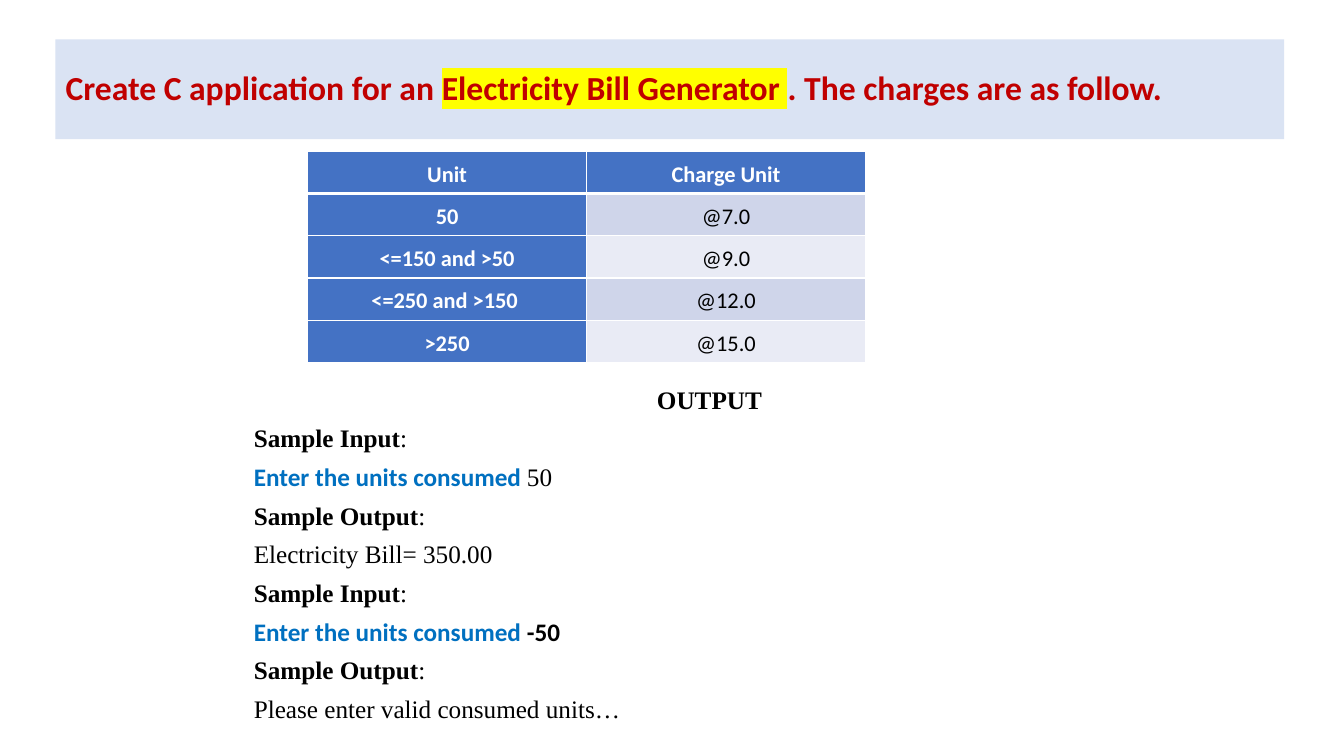
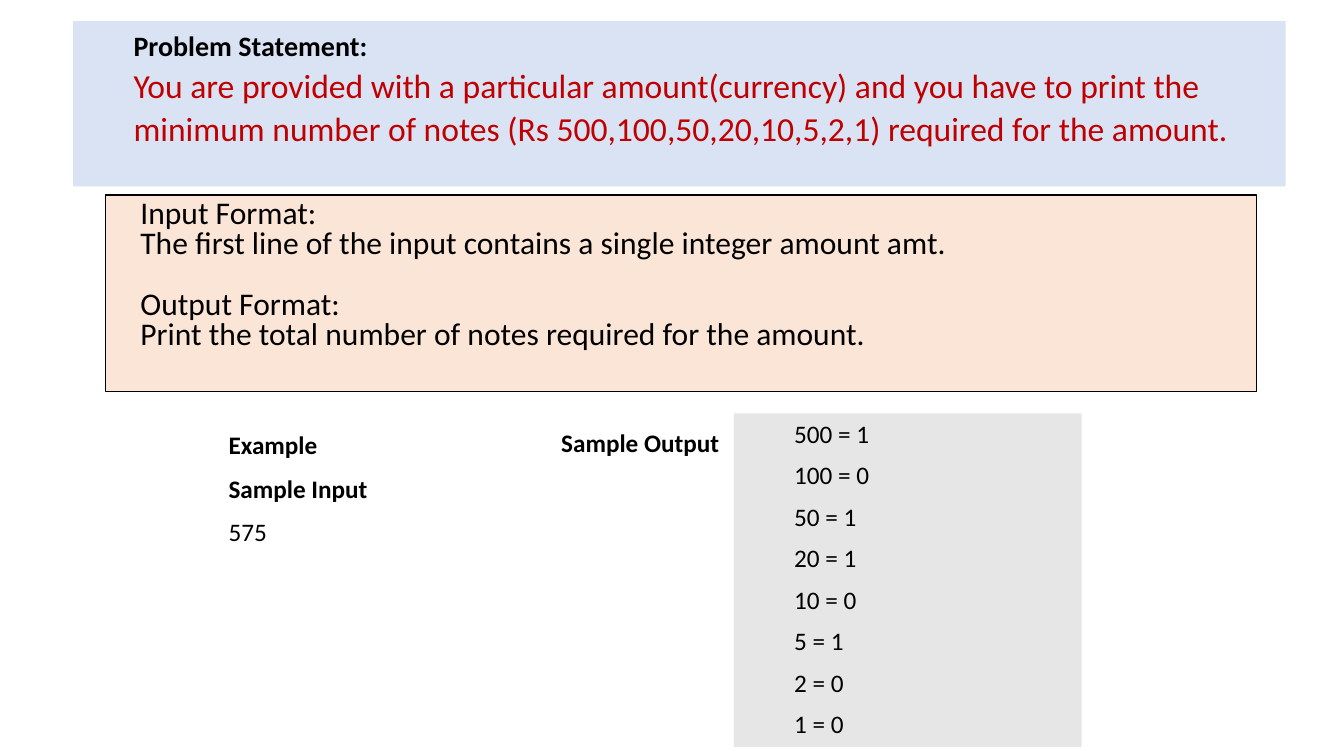
from dataclasses import dataclass

from lxml.etree import SubElement
from pptx import Presentation
from pptx.dml.color import RGBColor
from pptx.enum.shapes import MSO_SHAPE
from pptx.enum.text import MSO_ANCHOR, MSO_AUTO_SIZE, PP_ALIGN
from pptx.oxml import parse_xml
from pptx.oxml.ns import nsdecls, qn
from pptx.util import Pt


@dataclass(frozen=True)
class Theme:
    """Colours, fonts and type sizes of the deck."""
    band: str = "DAE3F3"
    red: str = "C00000"
    blue: str = "0070C0"
    black: str = "000000"
    white: str = "FFFFFF"
    marker: str = "FFFF00"
    head: str = "4472C4"
    rows: tuple = ("CFD5EA", "E9EBF5")
    peach: str = "FBE5D6"
    grey: str = "E7E6E6"
    sans: str = "Calibri"
    serif: str = "Times New Roman"
    title: float = 24
    subtitle: float = 20
    format: float = 22.5
    body: float = 18
    cell: float = 16


T = Theme()
TITLE_ONLY = 5


def rgb(code):
    """Turn a hex code into a colour."""
    return RGBColor.from_string(code)


def add_run(p, text, size=T.body, font=T.sans, color=T.black, bold=False, mark=None):
    """Add one formatted run to a paragraph."""
    r = p.add_run()
    r.text = text
    r.font.size, r.font.name, r.font.bold = Pt(size), font, bold
    r.font.color.rgb = rgb(color)
    if mark:
        r.font.fill._xPr.find(qn("a:solidFill")).addnext(parse_xml(
            f'<a:highlight {nsdecls("a")}><a:srgbClr val="{mark}"/></a:highlight>'))


def write(tf, text, new=True, align=PP_ALIGN.LEFT, indent=0, line=1.0,
          before=0, after=0, **font):
    """Write a paragraph: a string, or (text, overrides) runs; new=False fills the first."""
    p = tf.add_paragraph() if new else tf.paragraphs[0]
    p.alignment, p.line_spacing = align, line
    p.space_before, p.space_after = Pt(before), Pt(after)
    pPr = p._p.get_or_add_pPr()
    pPr.set("marL", str(Pt(indent)))
    pPr.set("indent", "0")
    for part, extra in ([(text, {})] if isinstance(text, str) else text):
        add_run(p, part, **{**font, **extra})


def write_all(tf, texts, **fmt):
    """Write several paragraphs that share one format."""
    for i, text in enumerate(texts):
        write(tf, text, new=i > 0, **fmt)


def set_frame(sp, anchor):
    """Make the text of a shape wrap without resizing and return its frame."""
    tf = sp.text_frame
    tf.word_wrap, tf.auto_size, tf.vertical_anchor = True, MSO_AUTO_SIZE.NONE, anchor
    return tf


def title_band(s, box, anchor=MSO_ANCHOR.MIDDLE):
    """Place the title placeholder as a tinted band."""
    sp = s.shapes.title
    sp.left, sp.top, sp.width, sp.height = map(Pt, box)
    sp.fill.solid()
    sp.fill.fore_color.rgb = rgb(T.band)
    return set_frame(sp, anchor)


def panel(s, box, fill, line=None):
    """Draw a filled rectangle and return its text frame."""
    sp = s.shapes.add_shape(MSO_SHAPE.RECTANGLE, *map(Pt, box))
    sp.shadow.inherit = False
    sp.fill.solid()
    sp.fill.fore_color.rgb = rgb(fill)
    if line:
        sp.line.color.rgb = rgb(line)
        sp.line.width = Pt(0.75)
    else:
        sp.line.fill.background()
    return set_frame(sp, MSO_ANCHOR.TOP)


def text_box(s, box):
    """Add a wrapping text box and return its text frame."""
    return set_frame(s.shapes.add_textbox(*map(Pt, box)), MSO_ANCHOR.TOP)


def set_borders(cell, bottom):
    """Give a cell white borders, with its own bottom width."""
    tcPr = cell._tc.get_or_add_tcPr()
    for i, (side, width) in enumerate(zip("LRTB", (1, 1, 1, bottom))):
        ln = parse_xml(f'<a:ln{side} {nsdecls("a")} w="{Pt(width)}"/>')
        SubElement(SubElement(ln, qn("a:solidFill")), qn("a:srgbClr"), val=T.white)
        tcPr.insert(i, ln)


def charge_table(s, box, rows):
    """Draw the tariff table with a coloured header row and first column."""
    tbl = s.shapes.add_table(len(rows), len(rows[0]), *map(Pt, box)).table
    for i, row in enumerate(rows):
        for j, text in enumerate(row):
            strong = i == 0 or j == 0
            cell = tbl.cell(i, j)
            cell.margin_left = cell.margin_right = Pt(4.5)
            cell.margin_top = cell.margin_bottom = Pt(0)
            cell.vertical_anchor = MSO_ANCHOR.MIDDLE
            cell.fill.solid()
            cell.fill.fore_color.rgb = rgb(T.head if strong else T.rows[(i - 1) % 2])
            set_borders(cell, 3 if i == 0 else 1)
            write(cell.text_frame, text, new=False, align=PP_ALIGN.CENTER, line=1.15,
                  before=6, after=10, size=T.cell, bold=strong,
                  color=T.white if strong else T.black)


def sample_session(s, box, samples):
    """List the sample inputs and outputs under an OUTPUT heading."""
    tf = text_box(s, box)
    fmt = dict(align=PP_ALIGN.JUSTIFY, before=6, font=T.serif)
    prompt = dict(font=T.sans, color=T.blue, bold=True)
    write(tf, "OUTPUT", new=False, indent=288, bold=True, **fmt)
    for value, value_font, reply in samples:
        for label, content in (
                ("Sample Input", [("Enter the units consumed ", prompt), (value, value_font)]),
                ("Sample Output", reply)):
            write(tf, [(label, dict(bold=True)), (":", {})], **fmt)
            write(tf, content, **fmt)


def bill_slide(prs):
    """Build the electricity bill exercise."""
    s = prs.slides.add_slide(prs.slide_layouts[TITLE_ONLY])
    write(title_band(s, (39.6, 28.1, 877.7, 71.3)),
          [("Create C application for an ", {}),
           ("Electricity Bill Generator ", dict(mark=T.marker)),
           (". The charges are as follow.", {})],
          new=False, line=0.9, size=T.title, color=T.red, bold=True)
    charge_table(s, (219.8, 108, 398.4, 151), [
        ("Unit", "Charge Unit"), ("50", "@7.0"), ("<=150 and >50", "@9.0"),
        ("<=250 and >150 ", "@12.0"), (">250", "@15.0")])
    sample_session(s, (174.2, 270.7, 666, 252), [
        ("50", {}, "Electricity Bill= 350.00"),
        ("-50", dict(font=T.sans, bold=True), "Please enter valid consumed units…")])


def notes_slide(prs):
    """Build the minimum number of notes exercise."""
    s = prs.slides.add_slide(prs.slide_layouts[TITLE_ONLY])
    tf = title_band(s, (52.2, 15.1, 866.2, 118.1), MSO_ANCHOR.TOP)
    write(tf, "Problem Statement:", new=False, indent=36, line=1.07,
          size=T.subtitle, bold=True)
    write(tf, "You are provided with a particular amount(currency) and you have to print "
          "the minimum number of notes (Rs 500,100,50,20,10,5,2,1) required for the amount.",
          indent=36, line=1.07, size=T.title, color=T.red)

    tf = panel(s, (75.2, 139.3, 822.2, 140.4), T.peach, T.black)
    fmt = dict(indent=18, line=0.8, size=T.format)
    write(tf, "Input Format:", new=False, **fmt)
    write(tf, "The first line of the input contains a single integer amount amt.",
          after=22, **fmt)
    write(tf, "Output Format:", **fmt)
    write(tf, "Print the total number of notes required for the amount.", **fmt)

    bold = dict(bold=True)
    write_all(text_box(s, (120.2, 301.7, 236.2, 126)),
              [[("Example", bold)], [("Sample Input", bold)], "575"],
              indent=36, line=1.07, after=8)
    counts = {500: 1, 100: 0, 50: 1, 20: 1, 10: 0, 5: 1, 2: 0, 1: 0}
    write_all(panel(s, (524.2, 295.2, 248.4, 238.3), T.grey),
              [f"{note} = {count}" for note, count in counts.items()],
              indent=36, after=8)
    write(text_box(s, (393.8, 301.7, 370, 29)), "Sample Output", new=False, bold=True)


prs = Presentation()
prs.slide_width, prs.slide_height = Pt(960), Pt(540)
bill_slide(prs)
notes_slide(prs)
prs.save("out.pptx")
